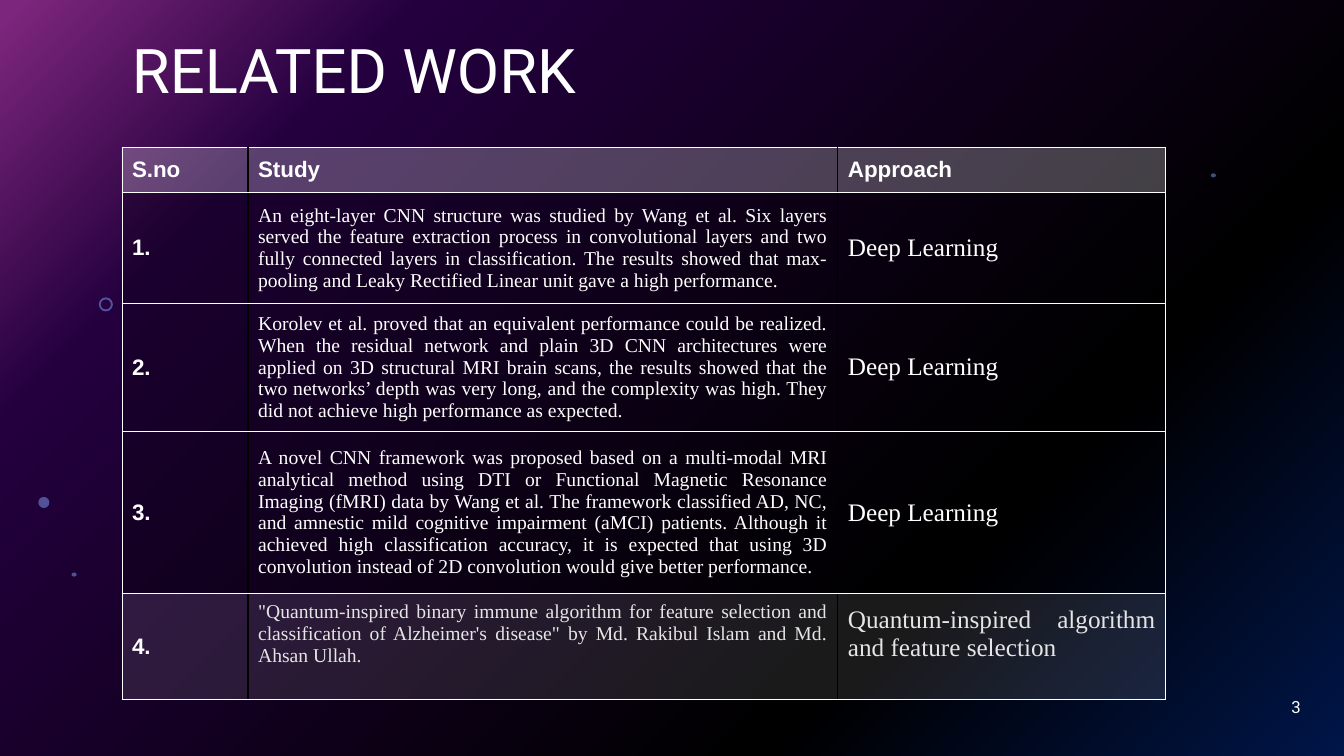
from pptx import Presentation
from pptx.dml.color import RGBColor
from pptx.enum.shapes import MSO_SHAPE
from pptx.enum.text import MSO_ANCHOR, PP_ALIGN
from pptx.oxml import parse_xml
from pptx.oxml.ns import nsdecls, qn
from pptx.util import Inches, Pt

OVAL, DONUT, RECTANGLE = MSO_SHAPE.OVAL, MSO_SHAPE.DONUT, MSO_SHAPE.RECTANGLE
MIDDLE = MSO_ANCHOR.MIDDLE
LEFT, RIGHT, JUSTIFY = PP_ALIGN.LEFT, PP_ALIGN.RIGHT, PP_ALIGN.JUSTIFY

WIDTH, HEIGHT = 13.33, 7.5
WHITE, BLACK, PALE, DOT_BLUE = "FFFFFF", "000000", "E5E5E5", "83A7FD"
GRADIENT = [(0, "022D94"), (28, "000000"), (80, "4A027F"), (99, "FC4EFB")]
DOTS = [
    (DONUT, 0.98, 2.95, 0.14, 0.14),
    (OVAL, 0.38, 4.93, 0.11, 0.11),
    (OVAL, 0.71, 5.68, 0.05, 0.04),
    (OVAL, 12.01, 1.72, 0.05, 0.04),
]
COLUMN_WIDTHS = [1.25, 5.85, 3.25]
ROW_HEIGHTS = [0.45, 1.1, 1.27, 1.61, 0.99]
ROWS = [
    ("S.no", "Study", "Approach"),
    ("1.", "An eight-layer CNN structure was studied by Wang et al. Six layers served the "
     "feature extraction process in convolutional layers and two fully connected layers in "
     "classification. The results showed that max-pooling and Leaky Rectified Linear unit "
     "gave a high performance.", "Deep Learning"),
    ("2.", "Korolev et al. proved that an equivalent performance could be realized. When the "
     "residual network and plain 3D CNN architectures were applied on 3D structural MRI brain "
     "scans, the results showed that the two networks’ depth was very long, and the "
     "complexity was high. They did not achieve high performance as expected.",
     "Deep Learning"),
    ("3.", "A novel CNN framework was proposed based on a multi-modal MRI analytical method "
     "using DTI or Functional Magnetic Resonance Imaging (fMRI) data by Wang et al. The "
     "framework classified AD, NC, and amnestic mild cognitive impairment (aMCI) patients. "
     "Although it achieved high classification accuracy, it is expected that using 3D "
     "convolution instead of 2D convolution would give better performance.",
     "Deep Learning"),
    ("4.", "\"Quantum-inspired binary immune algorithm for feature selection and "
     "classification of Alzheimer's disease\" by Md. Rakibul Islam and Md. Ahsan Ullah.",
     "Quantum-inspired algorithm and feature selection"),
]
LAST_ROW, LAST_COLUMN = len(ROWS) - 1, len(COLUMN_WIDTHS) - 1


def rgb(color):
    """Turn a hex string into a colour."""
    return RGBColor.from_string(color)


def set_fill(fill, element, color, opacity):
    """Fill with a colour at an opacity in percent."""
    fill.solid()
    fill.fore_color.rgb = rgb(color)
    alpha = parse_xml(f'<a:alpha {nsdecls("a")} val="{opacity * 1000}"/>')
    element.find(".//" + qn("a:srgbClr")).append(alpha)


def set_font(font, name, size, color=WHITE, bold=False):
    """Set the typeface, size, colour and weight of a font."""
    font.name, font.size, font.bold = name, Pt(size), bold
    font.color.rgb = rgb(color)


def add_shape(slide, kind, left, top, width, height, color, opacity):
    """Add a translucent shape without outline or shadow."""
    shape = slide.shapes.add_shape(
        kind, Inches(left), Inches(top), Inches(width), Inches(height))
    shape.shadow.inherit = False
    shape.line.fill.background()
    set_fill(shape.fill, shape._element.spPr, color, opacity)
    return shape


def add_text(slide, text, left, top, width, height, size, alignment):
    """Add a one-paragraph text box centred vertically."""
    box = slide.shapes.add_textbox(Inches(left), Inches(top), Inches(width), Inches(height))
    frame = box.text_frame
    frame.word_wrap = True
    frame.vertical_anchor = MIDDLE
    paragraph = frame.paragraphs[0]
    paragraph.text = text
    paragraph.alignment = alignment
    set_font(paragraph.font, "Roboto", size)
    return paragraph


def add_backdrop(slide):
    """Lay the radial gradient, the dark veil and the dots."""
    slide.background.fill.gradient()
    gradient = slide._element.find(".//" + qn("a:gradFill"))
    stops = "".join(f'<a:gs pos="{position * 1000}"><a:srgbClr val="{color}"/></a:gs>'
                    for position, color in GRADIENT)
    gradient.getparent().replace(gradient, parse_xml(
        f'<a:gradFill {nsdecls("a")} rotWithShape="1"><a:gsLst>{stops}</a:gsLst>'
        '<a:path path="circle"><a:fillToRect l="100000" t="100000"/></a:path></a:gradFill>'))
    add_shape(slide, RECTANGLE, 0, 0, WIDTH, HEIGHT, BLACK, 50)
    for kind, left, top, width, height in DOTS:
        dot = add_shape(slide, kind, left, top, width, height, DOT_BLUE, 49)
        if kind == DONUT:
            dot.adjustments[0] = 0.14


def set_borders(cell, row, column):
    """Draw white outer and horizontal lines and black inner vertical lines."""
    white, thick_white, black = (WHITE, 0.5), (WHITE, 1), (BLACK, 1)
    sides = {
        "L": white if column == 0 else black,
        "R": white if column == LAST_COLUMN else black,
        "T": thick_white if row == 1 else white,
        "B": thick_white if row == 0 else white,
    }
    properties = cell._tc.get_or_add_tcPr()
    for index, (side, (color, width)) in enumerate(sides.items()):
        properties.insert(index, parse_xml(
            f'<a:ln{side} {nsdecls("a")} w="{Pt(width)}"><a:solidFill>'
            f'<a:srgbClr val="{color}"/></a:solidFill></a:ln{side}>'))


def fill_cell(cell, text, row, column):
    """Write and style one cell according to its row and column."""
    header, last, number = row == 0, row == LAST_ROW, column == 0
    color, opacity = (WHITE, 25) if header else (WHITE, 10) if last else (BLACK, 25)
    set_fill(cell.fill, cell._tc.get_or_add_tcPr(), color, opacity)
    set_borders(cell, row, column)
    cell.vertical_anchor = MIDDLE
    paragraph = cell.text_frame.paragraphs[0]
    paragraph.text = text
    paragraph.alignment = LEFT if number and not header else JUSTIFY
    if header or number:
        set_font(paragraph.font, "Arial", 16, bold=True)
    else:
        size = 14 if column == 1 else 18
        set_font(paragraph.font, "Times New Roman", size, PALE if last else WHITE)
        if last:
            cell.margin_bottom = Inches(0.3)


def add_study_table(slide, left, top):
    """Place the table of studies with its top left corner at a point."""
    table = slide.shapes.add_table(
        len(ROWS), len(COLUMN_WIDTHS), Inches(left), Inches(top),
        Inches(sum(COLUMN_WIDTHS)), Inches(sum(ROW_HEIGHTS))).table
    table.horz_banding = False
    for column, width in zip(table.columns, COLUMN_WIDTHS):
        column.width = Inches(width)
    for row, (height, texts) in enumerate(zip(ROW_HEIGHTS, ROWS)):
        table.rows[row].height = Inches(height)
        for column, text in enumerate(texts):
            fill_cell(table.cell(row, column), text, row, column)


def build_related_work(presentation):
    """Build the related work slide."""
    slide = presentation.slides.add_slide(presentation.slide_layouts[6])
    add_backdrop(slide)
    title = add_text(slide, "RELATED WORK", 1.21, 0, 11.5, 1.45, 44, JUSTIFY)
    title.line_spacing = 0.9
    add_text(slide, "3", 10, 6.81, 3, 0.4, 12, RIGHT)
    add_study_table(slide, 1.21, 1.46)


def main():
    """Create and save the presentation."""
    presentation = Presentation()
    presentation.slide_width, presentation.slide_height = Inches(WIDTH), Inches(HEIGHT)
    build_related_work(presentation)
    presentation.save("out.pptx")


if __name__ == "__main__":
    main()
